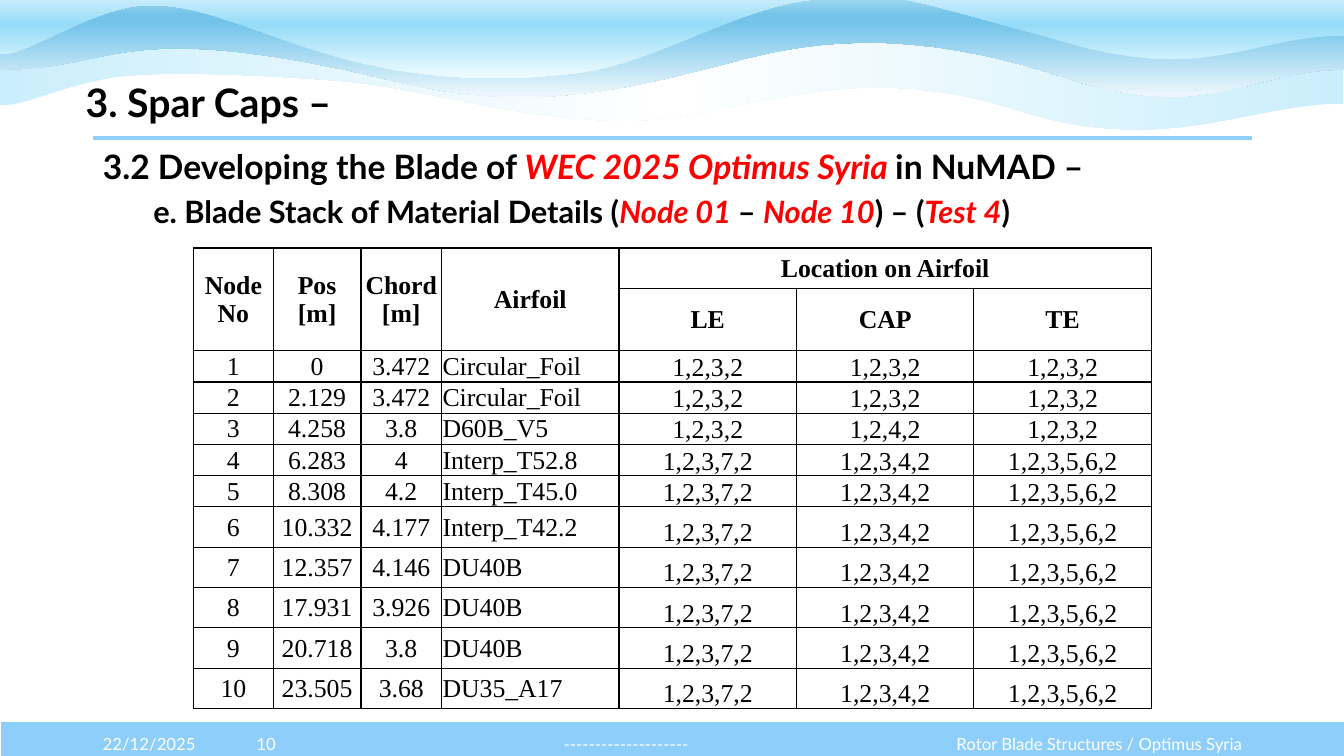
from lxml.etree import SubElement as Sub
from pptx import Presentation
from pptx.dml.color import RGBColor as RGB
from pptx.enum.shapes import MSO_CONNECTOR as Conn, MSO_SHAPE as Shape
from pptx.enum.text import MSO_ANCHOR as Anchor, MSO_AUTO_SIZE as Fit, PP_ALIGN as Align
from pptx.oxml.ns import qn
from pptx.util import Inches, Pt

BLACK = RGB(0x00, 0x00, 0x00)
WHITE = RGB(0xFF, 0xFF, 0xFF)
RED = RGB(0xFF, 0x00, 0x00)
BLUE = RGB(0x8E, 0xCE, 0xFA)
PALE = RGB(0xCA, 0xEE, 0xFB)
MIST = RGB(0xF0, 0xF8, 0xFD)
DEEP = RGB(0x74, 0xC4, 0xE9)
SKY = RGB(0xA2, 0xD8, 0xF0)
ICE = RGB(0xEF, 0xFC, 0xFF)
AQUA = RGB(0x96, 0xDC, 0xF8)

# Waves, back to front: top edge, angle, colour stops, start, Bezier curves
WAVES = [
    (0.3, 0, [(0, PALE), (50, WHITE), (100, PALE)], (13.32, 1.03), [
        (12.37, 1.02, 11.52, 1.59, 9.99, 1.06),
        (8.27, 0.54, 7.21, 1.24, 6.1, 1.2),
        (4.99, 1.16, 4.21, 0.87, 3.35, 0.8),
        (2.49, 0.74, 1.83, 0.71, 1.27, 0.75),
        (0.71, 0.79, 0.14, 1.11, -0.02, 1.03)]),
    (-0.02, 270, [(0, SKY), (17, DEEP), (26, DEEP), (100, MIST)], (13.33, 0.69), [
        (12.39, 0.69, 11.96, 1.27, 10.44, 0.73),
        (8.71, 0.19, 7.73, 0.49, 7.06, 0.67),
        (5.28, 1.14, 4.59, 0.97, 3.46, 0.7),
        (1.13, 0.21, 1.15, 0.69, 0, 0.69)]),
    (-0.28, 270, [(0, WHITE), (50, AQUA), (100, ICE)], (13.33, 0.35), [
        (12.39, 0.35, 11.96, 0.86, 10.44, 0.38),
        (8.72, -0.09, 8.91, -0.07, 8.13, -0.01),
        (7.35, 0.04, 6.53, 0.62, 5.76, 0.72),
        (4.98, 0.82, 4.24, 0.79, 3.47, 0.6),
        (2.58, 0.36, 2.07, 0.05, 1.5, 0.05),
        (0.92, 0.04, 0.22, 0.61, -0.03, 0.53)]),
]

COLS = [0.79, 0.87, 0.8] + [1.76] * 4
ROWS = [0.4, 0.62] + [0.31] * 5 + [0.4] * 5
HEADS = ["Node\nNo", "Pos\n[m]", "Chord\n[m]", "Airfoil"]
PARTS = ["LE", "CAP", "TE"]
ROOT = ("1,2,3,2", "1,2,3,2", "1,2,3,2")
STEP = ("1,2,3,2", "1,2,4,2", "1,2,3,2")
SPAN = ("1,2,3,7,2", "1,2,3,4,2", "1,2,3,5,6,2")
NODES = [
    ("0", "3.472", "Circular_Foil", ROOT),
    ("2.129", "3.472", "Circular_Foil", ROOT),
    ("4.258", "3.8", "D60B_V5", STEP),
    ("6.283", "4", "Interp_T52.8", SPAN),
    ("8.308", "4.2", "Interp_T45.0", SPAN),
    ("10.332", "4.177", "Interp_T42.2", SPAN),
    ("12.357", "4.146", "DU40B", SPAN),
    ("17.931", "3.926", "DU40B", SPAN),
    ("20.718", "3.8", "DU40B", SPAN),
    ("23.505", "3.68", "DU35_A17", SPAN),
]


def add_run(para, text, size, color=BLACK, bold=False, slant=False, face="Lato"):
    run = para.add_run()
    run.text = text
    font = run.font
    font.name, font.size, font.bold, font.italic = face, Pt(size), bold, slant
    font.color.rgb = color


def curve(start, bend, steps=16):
    """Points along one cubic Bezier curve."""
    x0, y0 = start
    x1, y1, x2, y2, x3, y3 = bend
    for i in range(1, steps + 1):
        t = i / steps
        a, b, c, d = (1 - t) ** 3, 3 * t * (1 - t) ** 2, 3 * t * t * (1 - t), t ** 3
        yield a * x0 + b * x1 + c * x2 + d * x3, a * y0 + b * y1 + c * y2 + d * y3


def add_wave(slide, x, y, wave):
    top, angle, stops, start, bends = wave
    points = [start]
    for bend in bends:
        points += curve(points[-1], bend)
    points += [(points[-1][0], top), (start[0], top)]
    spots = [(Inches(x + px), Inches(y + py)) for px, py in points]
    pen = slide.shapes.build_freeform(*spots[0])
    pen.add_line_segments(spots[1:])
    shape = pen.convert_to_shape()
    shape.shadow.inherit = False
    shape.line.fill.background()
    shape.fill.gradient()
    shape.fill.gradient_angle = angle
    ramp = shape._element.spPr.find(qn("a:gradFill")).find(qn("a:gsLst"))
    for old in list(ramp):
        ramp.remove(old)
    for pos, color in stops:
        stop = Sub(ramp, qn("a:gs"), pos=str(pos * 1000))
        Sub(stop, qn("a:srgbClr"), val=str(color))


def add_head(slide, x, y):
    # Waves and the rule under the title
    for wave in WAVES:
        add_wave(slide, x, y, wave)
    rule = slide.shapes.add_connector(
        Conn.STRAIGHT, Inches(x + 0.92), Inches(y + 1.37), Inches(x + 12.42), Inches(y + 1.37))
    rule.line.color.rgb = BLUE
    rule.line.width = Pt(3)
    Sub(rule._element.spPr, qn("a:effectLst"))


def add_foot(slide, x, y, w, h):
    # Blue bar
    bar = slide.shapes.add_shape(Shape.RECTANGLE, Inches(x), Inches(y), Inches(w), Inches(h))
    bar.shadow.inherit = False
    bar.fill.solid()
    bar.fill.fore_color.rgb = BLUE
    bar.line.color.rgb = WHITE
    bar.line.width = Pt(1.5)
    # Date, number, centre text and subject, side by side
    left = x + 0.92
    for text, wide, align in [
            ("22/12/2025", 1.21, Align.LEFT), ("10", 1.02, Align.CENTER),
            ("--------------------", 6.12, Align.CENTER),
            ("Rotor Blade Structures / Optimus Syria", 3.15, Align.RIGHT)]:
        box = slide.shapes.add_textbox(Inches(left), Inches(y + 0.03), Inches(wide), Inches(h))
        frame = box.text_frame
        frame.word_wrap = True
        frame.vertical_anchor = Anchor.MIDDLE
        frame.paragraphs[0].alignment = align
        add_run(frame.paragraphs[0], text, 12, WHITE)
        left += wide


def set_frame(slide, holder, x, y, w, h):
    """Move a placeholder to the front and into its box."""
    slide.shapes._spTree.append(holder._element)
    holder.left, holder.top = Inches(x), Inches(y)
    holder.width, holder.height = Inches(w), Inches(h)
    frame = holder.text_frame
    frame.word_wrap = True
    frame.auto_size = Fit.NONE
    frame.vertical_anchor = Anchor.TOP
    return frame


def add_title(slide, *box):
    para = set_frame(slide, slide.shapes.title, *box).paragraphs[0]
    para.alignment = Align.LEFT
    add_run(para, "3. Spar Caps –", 28, bold=True)


def add_body(slide, *box):
    frame = set_frame(slide, slide.placeholders[1], *box)
    lines = [
        (24, 0, 0, [("3.2 Developing the Blade of ", 0), ("WEC 2025 Optimus Syria ", 1),
                    ("in NuMAD –", 0)]),
        (22, 0.5, 4.4, [("e. Blade Stack of Material Details (", 0), ("Node 01 ", 1), ("– ", 0),
                        ("Node 10", 1), (") – (", 0), ("Test 4", 1), (")", 0)]),
    ]
    for i, (size, inset, gap, runs) in enumerate(lines):
        para = frame.add_paragraph() if i else frame.paragraphs[0]
        props = para._p.get_or_add_pPr()
        props.set("marL", str(Inches(inset)))
        props.set("indent", "0")
        Sub(props, qn("a:buNone"))
        para.space_before = Pt(gap)
        for text, key in runs:
            add_run(para, text, size, RED if key else BLACK, True, bool(key))


def set_cell(cell, text, bold=False, align=Align.CENTER, anchor=Anchor.MIDDLE):
    cell.vertical_anchor = anchor
    para = cell.text_frame.paragraphs[0]
    para.alignment = align
    for i, line in enumerate(text.split("\n")):
        if i:
            para.add_line_break()
        add_run(para, line, 18.4, bold=bold, face="Times New Roman")


def add_grid(slide, x, y):
    grid = slide.shapes.add_table(len(ROWS), len(COLS), Inches(x), Inches(y),
                                  Inches(sum(COLS)), Inches(sum(ROWS))).table
    grid.first_row = grid.horz_banding = False
    for col, wide in zip(grid.columns, COLS):
        col.width = Inches(wide)
    for row, high in zip(grid.rows, ROWS):
        row.height = Inches(high)
    # Borders, margins and fill
    for cell in grid.iter_cells():
        cell.margin_left = cell.margin_right = cell.margin_top = Inches(0.01)
        cell.margin_bottom = 0
        for side in ("lnL", "lnR", "lnT", "lnB"):
            edge = Sub(cell._tc.get_or_add_tcPr(), qn("a:" + side), w=str(Pt(1)))
            Sub(Sub(edge, qn("a:solidFill")), qn("a:srgbClr"), val=str(BLACK))
        cell.fill.background()
    # Heading rows
    for c, head in enumerate(HEADS):
        grid.cell(0, c).merge(grid.cell(1, c))
        set_cell(grid.cell(0, c), head, True)
    grid.cell(0, 4).merge(grid.cell(0, 6))
    set_cell(grid.cell(0, 4), "Location on Airfoil", True)
    for c, part in enumerate(PARTS, 4):
        set_cell(grid.cell(1, c), part, True)
    # Node rows
    for r, (pos, chord, foil, stack) in enumerate(NODES, 2):
        for c, text in enumerate([str(r - 1), pos, chord, foil, *stack]):
            set_cell(grid.cell(r, c), text, align=Align.LEFT if c == 3 else Align.CENTER,
                     anchor=Anchor.BOTTOM if c > 3 else Anchor.MIDDLE)


def main():
    deck = Presentation()
    deck.slide_width, deck.slide_height = Inches(13.33), Inches(7.5)
    slide = deck.slides.add_slide(deck.slide_layouts[1])
    add_head(slide, 0, 0)
    add_foot(slide, 0, 7.15, 13.35, 0.4)
    add_title(slide, 0.75, 0.73, 9.49, 0.57)
    add_body(slide, 0.92, 1.4, 11.75, 1.05)
    add_grid(slide, 1.92, 2.46)
    deck.save("out.pptx")


if __name__ == "__main__":
    main()
